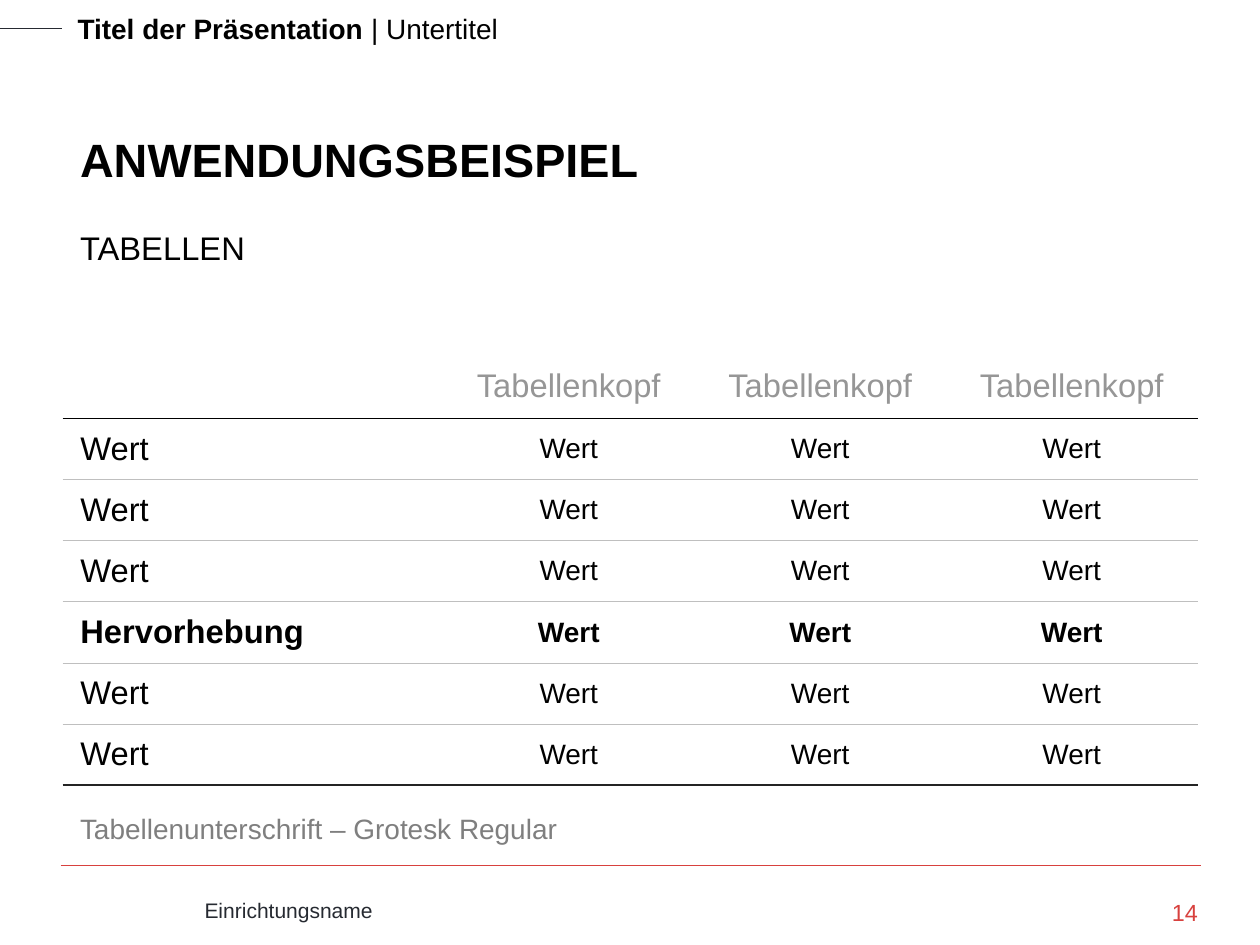
from pptx import Presentation
from pptx.dml.color import RGBColor
from pptx.enum.shapes import MSO_CONNECTOR
from pptx.enum.text import MSO_ANCHOR, PP_ALIGN
from pptx.oxml import parse_xml
from pptx.oxml.ns import nsdecls
from pptx.util import Pt

BLACK = RGBColor(0x00, 0x00, 0x00)
WHITE = RGBColor(0xFF, 0xFF, 0xFF)
SLATE = RGBColor(0x26, 0x2A, 0x31)
RED = RGBColor(0xD8, 0x41, 0x3E)
CAPTION_GRAY = RGBColor(0x7F, 0x7F, 0x7F)
HEAD_GRAY = RGBColor(0x96, 0x96, 0x96)
RULE_GRAY = RGBColor(0xBF, 0xBF, 0xBF)
CHARCOAL = RGBColor(0x24, 0x24, 0x24)

STRAIGHT = MSO_CONNECTOR.STRAIGHT
TOP, MIDDLE, BOTTOM = MSO_ANCHOR.TOP, MSO_ANCHOR.MIDDLE, MSO_ANCHOR.BOTTOM
LEFT, CENTER, RIGHT = PP_ALIGN.LEFT, PP_ALIGN.CENTER, PP_ALIGN.RIGHT


class SlideBuilder:
    font_name = "Arial"
    inset = (7.2, 3.6)

    def __init__(self, slide):
        self.s = slide

    def style(self, p, size, color, bold=False, align=LEFT):
        p.alignment = align
        p.font.name = self.font_name
        p.font.size = Pt(size)
        p.font.color.rgb = color
        if bold is not None:
            p.font.bold = bold

    def text(self, box, runs, size, color, bold=False, align=LEFT,
             anchor=TOP, inset=inset):
        """Add a text box; runs is a string or a list of (text, bold)."""
        tf = self.s.shapes.add_textbox(*map(Pt, box)).text_frame
        tf.word_wrap = True
        tf.vertical_anchor = anchor
        tf.margin_left = tf.margin_right = Pt(inset[0])
        tf.margin_top = tf.margin_bottom = Pt(inset[1])
        p = tf.paragraphs[0]
        if isinstance(runs, str):
            p.text = runs
            self.style(p, size, color, bold, align)
            return
        self.style(p, size, color, None, align)
        for words, run_bold in runs:
            r = p.add_run()
            r.text = words
            r.font.bold = run_bold

    def line(self, x1, x2, y, color, width=0.25):
        c = self.s.shapes.add_connector(STRAIGHT, Pt(x1), Pt(y), Pt(x2), Pt(y))
        c.line.color.rgb = color
        c.line.width = Pt(width)
        c._element.spPr.append(parse_xml(f"<a:effectLst {nsdecls('a')}/>"))

    def borders(self, cell, top, bottom):
        side = (WHITE, 0.96)
        tc_pr = cell._tc.get_or_add_tcPr()
        edges = (("lnL", side), ("lnR", side), ("lnT", top), ("lnB", bottom))
        for i, (tag, (color, width)) in enumerate(edges):
            tc_pr.insert(i, parse_xml(
                f'<a:{tag} {nsdecls("a")} w="{Pt(width)}"><a:solidFill>'
                f'<a:srgbClr val="{color}"/></a:solidFill></a:{tag}>'))

    def table(self, left, top, widths, heights, rows, rules, highlight):
        """Rules run from above the first row to below the last one."""
        frame = self.s.shapes.add_table(
            len(rows), len(widths), Pt(left), Pt(top),
            Pt(sum(widths)), Pt(sum(heights)))
        table = frame.table
        table.first_row = table.horz_banding = False
        for column, width in zip(table.columns, widths):
            column.width = Pt(width)
        for i, values in enumerate(rows):
            table.rows[i].height = Pt(heights[i])
            for j, value in enumerate(values):
                cell = table.cell(i, j)
                cell.fill.background()
                cell.vertical_anchor = MIDDLE
                self.borders(cell, rules[i], rules[i + 1])
                p = cell.text_frame.paragraphs[0]
                if value:
                    p.text = value
                self.style(p, 14 if i == 0 or j == 0 else 12,
                           HEAD_GRAY if i == 0 else BLACK,
                           i == highlight, CENTER if j else LEFT)


def main():
    prs = Presentation()
    prs.slide_width, prs.slide_height = Pt(540), Pt(405)
    b = SlideBuilder(prs.slides.add_slide(prs.slide_layouts[6]))

    # Header
    b.line(0, 26.6, 12.2, SLATE)
    b.text((26.2, 1.5, 412.5, 21.6),
           [("Titel der Präsentation ", True), ("| Untertitel", False)],
           12, BLACK)

    # Headings
    b.text((27.2, 23.8, 486, 59.8), "ANWENDUNGSBEISPIEL", 20, BLACK,
           bold=True, anchor=BOTTOM)
    b.text((27.2, 83.5, 486, 34.6), "TABELLEN", 14, BLACK, anchor=BOTTOM)

    # Table
    labels = ["Wert"] * 3 + ["Hervorhebung"] + ["Wert"] * 2
    rows = [[""] + ["Tabellenkopf"] * 3]
    rows += [[label] + ["Wert"] * 3 for label in labels]
    rules = [(WHITE, 0.96), (BLACK, 0.5)]
    rules += [(RULE_GRAY, 0.23)] * (len(labels) - 1) + [(CHARCOAL, 0.5)]
    b.table(27.2, 152, [162.7] + [107.8] * 3, [27.3] + [26.2] * len(labels),
            rows, rules, highlight=4)

    # Caption
    b.text((27.2, 344.3, 486, 25.9), "Tabellenunterschrift – Grotesk Regular",
           12, CAPTION_GRAY)

    # Footer
    b.line(26, 514.8, 371, RED)
    b.text((80.6, 380.9, 348.5, 18), "Einrichtungsname", 9, SLATE)
    b.text((462.2, 384.8, 51.1, 18), "14", 10, RED, align=RIGHT, inset=(0, 0))

    prs.save("out.pptx")


if __name__ == "__main__":
    main()
